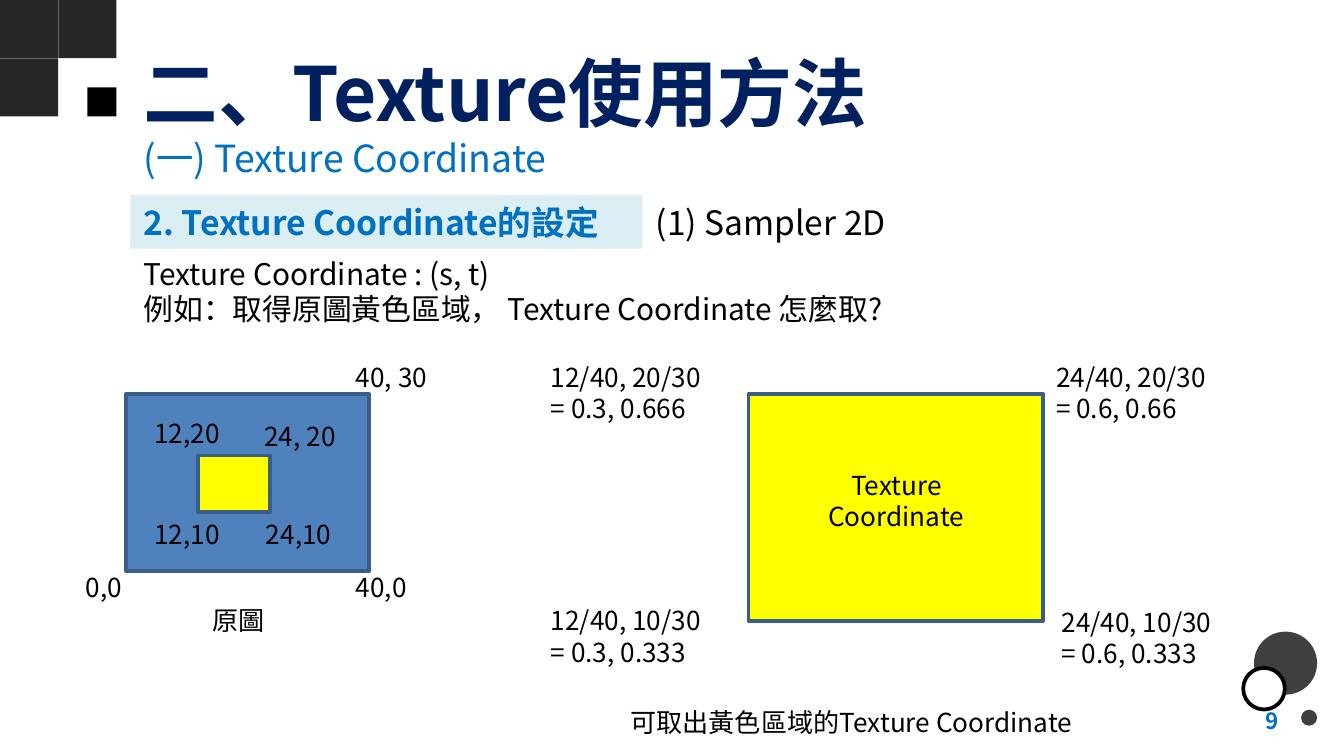
import pptx
import pptx.util
import pptx.dml.color
import pptx.enum.shapes
import pptx.enum.text
import pptx.oxml.ns
import lxml.etree

Pt = pptx.util.Pt
RGBColor = pptx.dml.color.RGBColor
Kind = pptx.enum.shapes.MSO_SHAPE
Align = pptx.enum.text.PP_ALIGN
Anchor = pptx.enum.text.MSO_ANCHOR

FONT = "Noto Sans CJK TC"
NAVY = RGBColor(0x00, 0x20, 0x60)
BLUE = RGBColor(0x00, 0x70, 0xC0)
PALE = RGBColor(0xDA, 0xEE, 0xF3)
IMAGE_BLUE = RGBColor(0x4F, 0x81, 0xBD)
OUTLINE = RGBColor(0x39, 0x5E, 0x89)
YELLOW = RGBColor(0xFF, 0xFF, 0x00)
CHARCOAL = RGBColor(0x26, 0x26, 0x26)
GRAY = RGBColor(0x3F, 0x3F, 0x3F)
BLACK = RGBColor(0, 0, 0)
WHITE = RGBColor(0xFF, 0xFF, 0xFF)

LEFT = 69.8
TILE = 31.2
DOTS = [
    ((671.8, 338.4, 33.8, 33.8), GRAY, None),
    ((697, 380.2, 8.6, 8.6), GRAY, None),
    ((666, 357.8, 22.3, 22.3), WHITE, BLACK),
]
REGIONS = [
    ((67.4, 211, 130.3, 95), IMAGE_BLUE),
    ((106, 244.1, 38.9, 30.2), YELLOW),
    ((401, 211, 157.7, 121.7), YELLOW),
]
HEADINGS = [
    (["二、Texture使用方法"], (LEFT, 15.1, 453.6, 67.7),
     dict(size=40, color=NAVY, bold=True, anchor=Anchor.MIDDLE)),
    (["(一) Texture Coordinate"], (LEFT, 69.1, 247, 31.7), dict(size=20, color=BLUE)),
    (["2. Texture Coordinate的設定"], (LEFT, 104.4, 274.3, 28.8),
     dict(size=18, color=BLUE, bold=True, fill=PALE)),
    (["(1) Sampler 2D"], (344.2, 104.4, 152.6, 28.8), dict(size=18)),
    (["Texture Coordinate : (s, t)", "例如：取得原圖黃色區域， Texture Coordinate 怎麼取?"],
     (LEFT, 133.2, 467.3, 65.5), dict(size=16)),
    (["9"], (524.2, 375.1, 167.8, 21.6),
     dict(size=12, color=BLUE, bold=True, align=Align.RIGHT, anchor=Anchor.MIDDLE)),
]
POINT_LABELS = [
    ("12,10", 75.6, 274.3), ("24,10", 135.4, 274.3),
    ("0,0", 38.9, 302.4), ("40,0", 183.6, 302.4),
    ("12,20", 75.6, 220.3), ("24, 20", 134.6, 221.8),
    ("40, 30", 183.6, 190.1),
]
CORNER_LABELS = [
    (["12/40, 10/30", "= 0.3, 0.333"], 288, 320.4),
    (["24/40, 10/30", "= 0.6, 0.333"], 561.6, 321.1),
    (["12/40, 20/30", "= 0.3, 0.666"], 288, 190.1),
    (["24/40, 20/30", "= 0.6, 0.66"], 558.7, 190.1),
]
CAPTIONS = [
    (["原圖"], (106.6, 320.4, 67, 24.2), {}),
    (["可取出黃色區域的Texture Coordinate"], (330.5, 375.1, 308.2, 24.2), {}),
    (["Texture Coordinate"], (429.8, 247.7, 100.8, 41), dict(align=Align.CENTER)),
]

deck = pptx.Presentation()
deck.slide_width, deck.slide_height = Pt(720), Pt(405)
slide = deck.slides.add_slide(deck.slide_layouts[6])


def add_block(box, fill, outline=None, kind=Kind.RECTANGLE):
    block = slide.shapes.add_shape(kind, *map(Pt, box))
    block.shadow.inherit = False
    block.fill.solid()
    block.fill.fore_color.rgb = fill
    if outline is None:
        block.line.fill.background()
    else:
        block.line.color.rgb = outline
        block.line.width = Pt(2)
    return block


def add_text(lines, box, size=14, color=BLACK, bold=False, align=Align.LEFT,
             anchor=Anchor.TOP, fill=None):
    if fill is None:
        holder = slide.shapes.add_textbox(*map(Pt, box))
    else:
        holder = add_block(box, fill)
    frame = holder.text_frame
    frame.word_wrap = True
    frame.vertical_anchor = anchor
    for index, line in enumerate(lines):
        paragraph = frame.add_paragraph() if index else frame.paragraphs[0]
        paragraph.alignment = align
        run = paragraph.add_run()
        run.text = line
        run.font.name = FONT
        run.font.size = Pt(size)
        run.font.bold = bold
        run.font.color.rgb = color
        east_asian = lxml.etree.Element(pptx.oxml.ns.qn("a:ea"), typeface=FONT)
        run.font._element.find(pptx.oxml.ns.qn("a:latin")).addnext(east_asian)


for column, row in [(0, 0), (1, 0), (0, 1)]:
    add_block((column * TILE, row * TILE, TILE, TILE), CHARCOAL)
add_block((1.5 * TILE, 1.5 * TILE, TILE / 2, TILE / 2), BLACK)
for box, fill, outline in DOTS:
    add_block(box, fill, outline, Kind.OVAL)
for lines, box, style in HEADINGS:
    add_text(lines, box, **style)
for box, fill in REGIONS:
    add_block(box, fill, OUTLINE)
for label, left, top in POINT_LABELS:
    add_text([label], (left, top, 56.9, 24.2))
for lines, left, top in CORNER_LABELS:
    add_text(lines, (left, top, 113.8 if left < 400 else 155, 41))
for lines, box, style in CAPTIONS:
    add_text(lines, box, **style)

deck.save("out.pptx")
